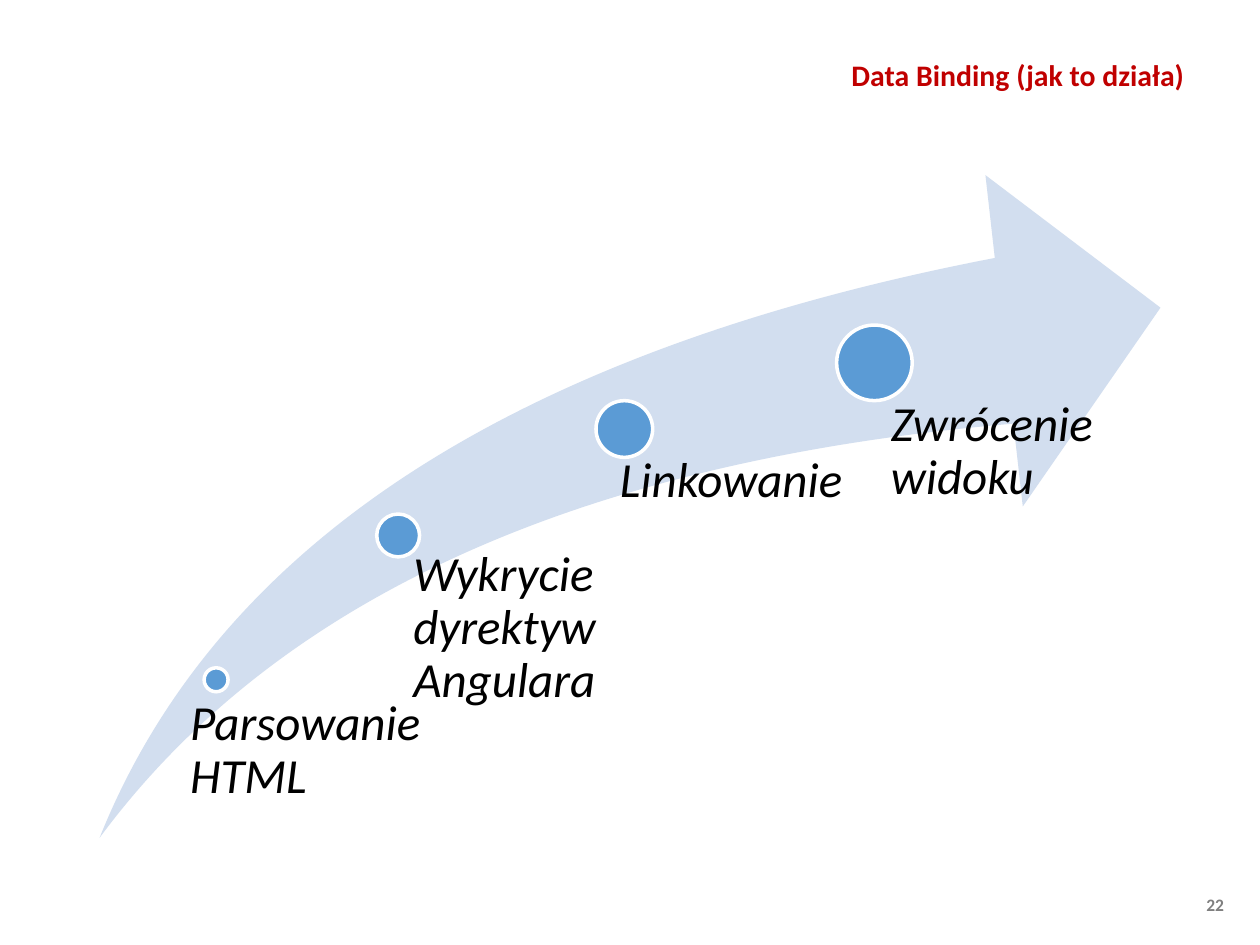
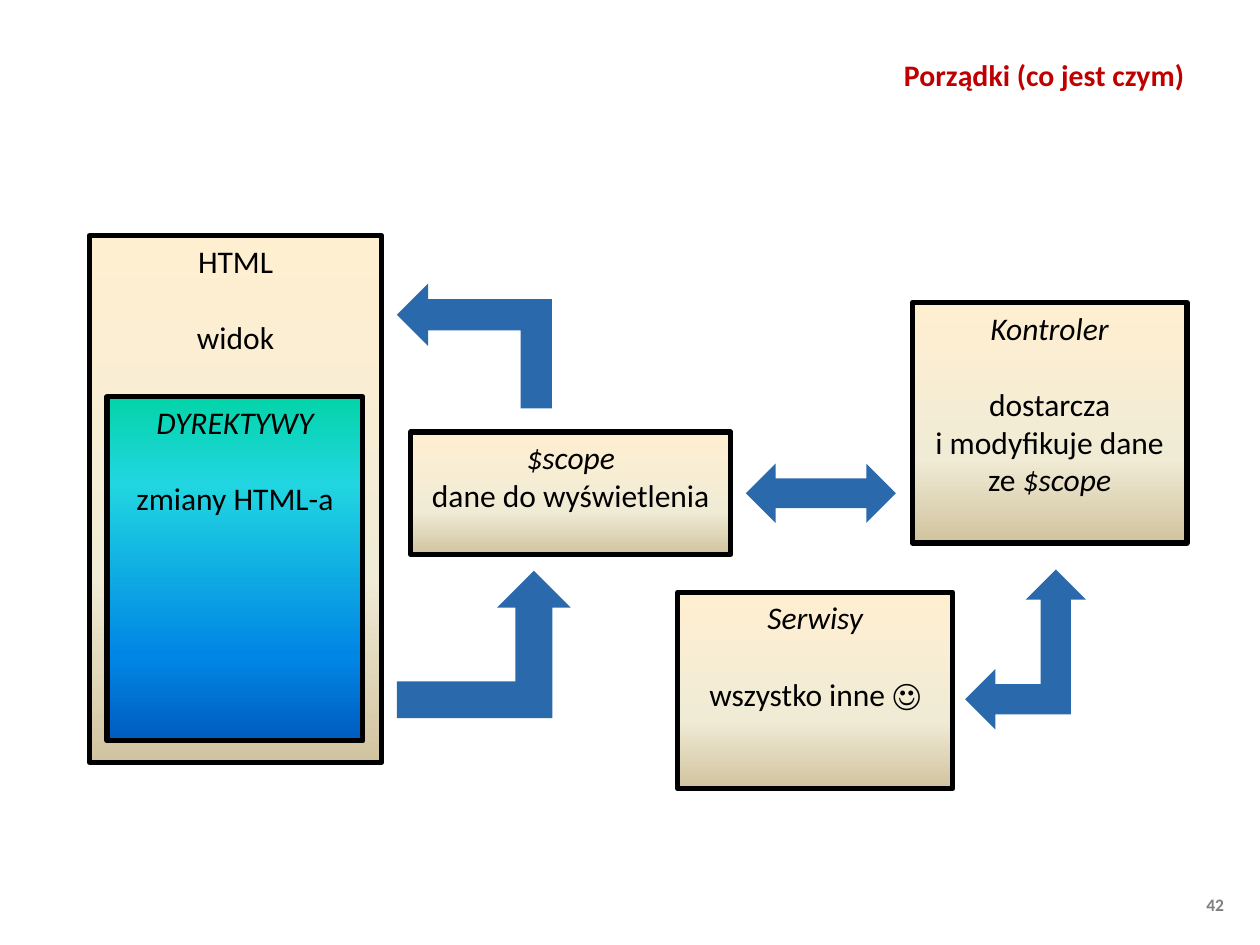
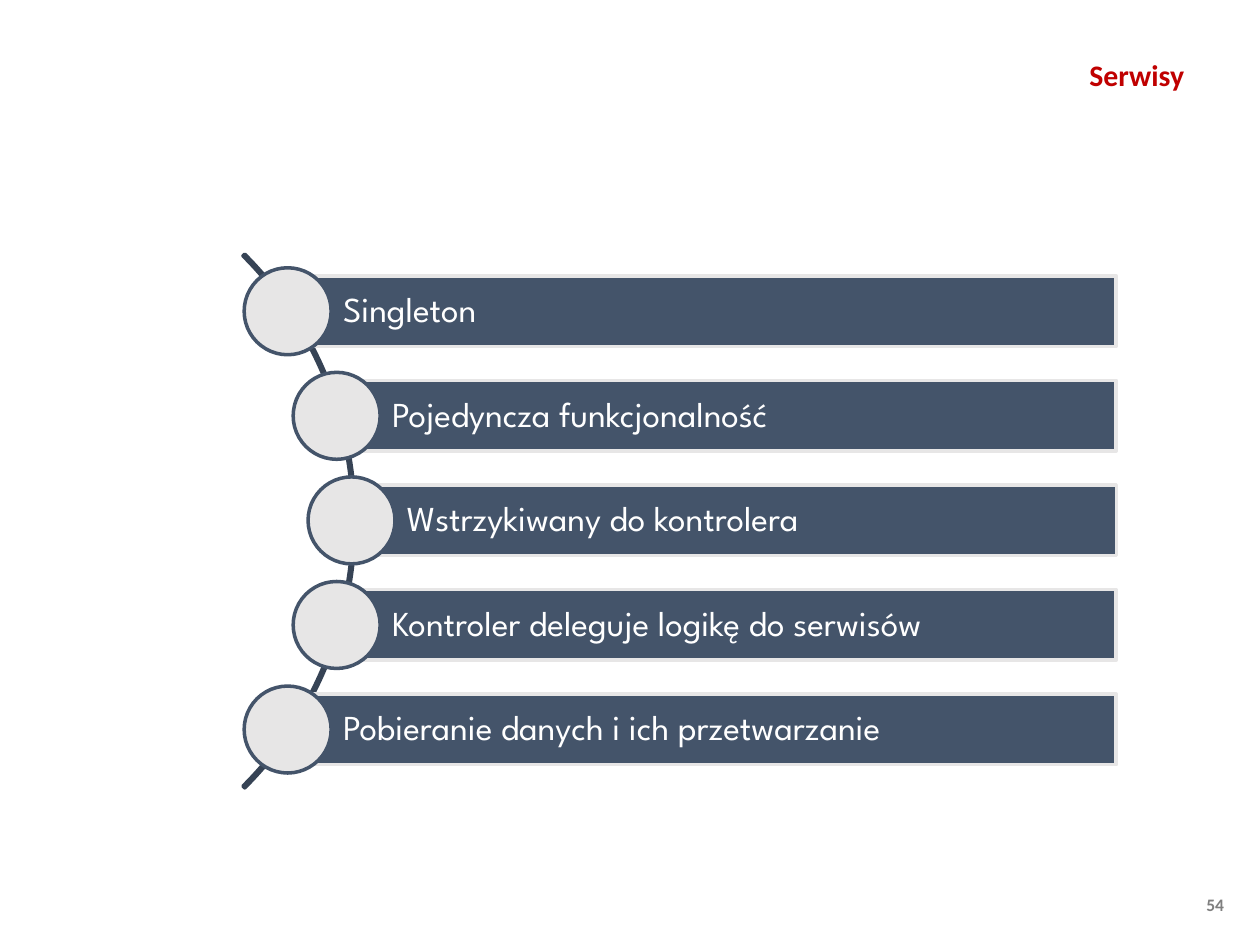
import math
from dataclasses import dataclass
from typing import Optional

import lxml.etree
import pptx
import pptx.dml.color
import pptx.enum.shapes
import pptx.enum.text
import pptx.oxml.ns
import pptx.presentation
import pptx.shapes.autoshape
import pptx.slide
import pptx.text.text
import pptx.util

Inches = pptx.util.Inches
Pt = pptx.util.Pt
RGBColor = pptx.dml.color.RGBColor
ShapeKind = pptx.enum.shapes.MSO_SHAPE
Align = pptx.enum.text.PP_ALIGN
Anchor = pptx.enum.text.MSO_ANCHOR

# Shared colours and fonts
BLACK = RGBColor(0x00, 0x00, 0x00)
WHITE = RGBColor(0xFF, 0xFF, 0xFF)
TITLE_RED = RGBColor(0xC0, 0x00, 0x00)
NUMBER_GREY = RGBColor(0x7F, 0x7F, 0x7F)
SWOOSH_BLUE = RGBColor(0xD2, 0xDE, 0xEF)
DOT_BLUE = RGBColor(0x5B, 0x9B, 0xD5)
ARROW_BLUE = RGBColor(0x2B, 0x69, 0xAD)
BAR_SLATE = RGBColor(0x44, 0x54, 0x6A)
ARC_SLATE = RGBColor(0x36, 0x43, 0x55)
PALE_GREY = RGBColor(0xE7, 0xE6, 0xE6)
BODY_FONT = "Calibri"
BAR_FONT = "League Spartan"

# Gradient stops: percentage and colour
Gradient = tuple[tuple[int, RGBColor], ...]
SAND: Gradient = (
    (0, RGBColor(0xFF, 0xEF, 0xD1)),
    (65, RGBColor(0xF0, 0xEB, 0xD5)),
    (100, RGBColor(0xD1, 0xC3, 0x9F)),
)
OCEAN: Gradient = (
    (0, RGBColor(0x03, 0xD4, 0xA8)),
    (25, RGBColor(0x21, 0xD6, 0xE0)),
    (75, RGBColor(0x00, 0x87, 0xE6)),
    (100, RGBColor(0x00, 0x5C, 0xBF)),
)


@dataclass(frozen=True)
class Frame:
    left: float
    top: float
    width: float
    height: float

    def lengths(self) -> tuple[int, int, int, int]:
        return (Inches(self.left), Inches(self.top),
                Inches(self.width), Inches(self.height))


@dataclass(frozen=True)
class Step:
    text: str
    dot_left: float
    dot_top: float
    dot_size: float
    label: Frame
    indent: float


@dataclass(frozen=True)
class Span:
    text: str
    italic: bool = False


@dataclass(frozen=True)
class Line:
    spans: tuple[Span, ...]
    gap: bool = False


@dataclass(frozen=True)
class Block:
    frame: Frame
    gradient: Gradient
    lines: tuple[Line, ...]


@dataclass(frozen=True)
class BlockArrow:
    kind: ShapeKind
    frame: Frame
    rotation: int = 0


STEPS = (
    Step("Parsowanie HTML", 1.62, 5.3, 0.19, Frame(1.41, 5.54, 2.31, 1.25), 0.1),
    Step("Wykrycie dyrektyw Angulara", 2.99, 4.08, 0.34, Frame(3.1, 4.36, 2.02, 2.4), 0.18),
    Step("Linkowanie", 4.73, 3.18, 0.45, Frame(4.68, 3.61, 2.35, 3.25), 0.24),
    Step("Zwrócenie widoku", 6.64, 2.58, 0.6, Frame(6.75, 3.17, 2.29, 2.91), 0.32),
)

BLOCKS = (
    Block(Frame(0.71, 1.87, 2.32, 4.18), SAND,
          (Line((Span("HTML"),)), Line((Span("widok"),), gap=True))),
    Block(Frame(0.85, 3.15, 2.03, 2.73), OCEAN,
          (Line((Span("DYREKTYWY", True),)), Line((Span("zmiany HTML-a"),), gap=True))),
    Block(Frame(3.26, 3.43, 2.54, 0.97), SAND,
          (Line((Span("$scope", True),)), Line((Span("dane do wyświetlenia"),)))),
    Block(Frame(7.24, 2.4, 2.18, 1.91), SAND,
          (Line((Span("Kontroler", True),)), Line((Span("dostarcza"),), gap=True),
           Line((Span("i modyfikuje dane ze "), Span("$scope", True))))),
    Block(Frame(5.38, 4.7, 2.18, 1.56), SAND,
          (Line((Span("Serwisy", True),)), Line((Span("wszystko inne ☺"),), gap=True))),
)

BLOCK_ARROWS = (
    BlockArrow(ShapeKind.BENT_UP_ARROW, Frame(3.27, 2.13, 0.99, 1.23), 270),
    BlockArrow(ShapeKind.BENT_UP_ARROW, Frame(3.15, 4.53, 1.38, 1.17)),
    BlockArrow(ShapeKind.LEFT_RIGHT_ARROW, Frame(5.92, 3.68, 1.19, 0.47)),
    BlockArrow(ShapeKind.LEFT_UP_ARROW, Frame(7.66, 4.52, 0.96, 1.27)),
)

SERVICE_TRAITS = (
    "Singleton",
    "Pojedyncza funkcjonalność",
    "Wstrzykiwany do kontrolera",
    "Kontroler deleguje logikę do serwisów",
    "Pobieranie danych i ich przetwarzanie",
)


# Shared drawing functions
def format_font(font: pptx.text.text.Font, size: float, color: RGBColor,
                name: str = BODY_FONT, bold: bool = False, italic: bool = False) -> None:
    font.size = Pt(size)
    font.name = name
    font.bold = bold
    font.italic = italic
    font.color.rgb = color


def set_margins(text_frame: pptx.text.text.TextFrame, left: float, top: float,
                right: float, bottom: float) -> None:
    text_frame.margin_left = Inches(left)
    text_frame.margin_top = Inches(top)
    text_frame.margin_right = Inches(right)
    text_frame.margin_bottom = Inches(bottom)


def add_shape(page: pptx.slide.Slide, kind: ShapeKind, frame: Frame,
              fill: Optional[RGBColor] = None, line: Optional[RGBColor] = None,
              line_width: float = 2) -> pptx.shapes.autoshape.Shape:
    shape = page.shapes.add_shape(kind, *frame.lengths())
    shape.shadow.inherit = False
    if fill is None:
        shape.fill.background()
    else:
        shape.fill.solid()
        shape.fill.fore_color.rgb = fill
    if line is None:
        shape.line.fill.background()
    else:
        shape.line.color.rgb = line
        shape.line.width = Pt(line_width)
    return shape


def fill_gradient(shape: pptx.shapes.autoshape.Shape, gradient: Gradient) -> None:
    """Fill from top to bottom with any number of stops."""
    qn = pptx.oxml.ns.qn
    shape.fill.gradient()
    shape.fill.gradient_angle = 270
    stops = shape.element.spPr.find(qn("a:gradFill")).find(qn("a:gsLst"))
    for stop in list(stops):
        stops.remove(stop)
    for percent, color in gradient:
        stop = lxml.etree.SubElement(stops, qn("a:gs"), pos=str(percent * 1000))
        lxml.etree.SubElement(stop, qn("a:srgbClr"), val=str(color))


def add_page(deck: pptx.presentation.Presentation, title: str, number: int) -> pptx.slide.Slide:
    page = deck.slides.add_slide(deck.slide_layouts[5])

    # Title
    box = page.shapes.title
    box.left, box.top, box.width, box.height = Frame(2.39, 0.21, 7.11, 0.76).lengths()
    box.text_frame.text = title
    box.text_frame.auto_size = pptx.enum.text.MSO_AUTO_SIZE.NONE
    box.text_frame.vertical_anchor = Anchor.MIDDLE
    para = box.text_frame.paragraphs[0]
    para.alignment = Align.RIGHT
    format_font(para.runs[0].font, 17, TITLE_RED, bold=True)

    # Page number
    box = page.shapes.add_textbox(*Frame(9.34, 7.05, 0.66, 0.27).lengths())
    box.text_frame.word_wrap = True
    set_margins(box.text_frame, 0.1, 0.05, 0.15, 0.05)
    box.text_frame.text = str(number)
    para = box.text_frame.paragraphs[0]
    para.alignment = Align.CENTER
    format_font(para.runs[0].font, 10, NUMBER_GREY, bold=True)
    return page


# Data binding: steps along a rising arrow
def add_step(page: pptx.slide.Slide, step: Step) -> None:
    dot = Frame(step.dot_left, step.dot_top, step.dot_size, step.dot_size)
    add_shape(page, ShapeKind.OVAL, dot, DOT_BLUE, WHITE)
    label = page.shapes.add_textbox(*step.label.lengths())
    label.text_frame.word_wrap = True
    set_margins(label.text_frame, step.indent, 0, 0, 0)
    label.text_frame.text = step.text
    para = label.text_frame.paragraphs[0]
    para.line_spacing = 0.9
    format_font(para.runs[0].font, 28, BLACK, italic=True)


def build_binding_page(deck: pptx.presentation.Presentation) -> None:
    page = add_page(deck, "Data Binding (jak to działa)", 22)
    swoosh = add_shape(page, ShapeKind.SWOOSH_ARROW, Frame(0.79, 1.39, 8.42, 5.26), SWOOSH_BLUE)
    swoosh.adjustments[0] = 0.25
    swoosh.adjustments[1] = 0.25
    for step in STEPS:
        add_step(page, step)


# Overview: blocks joined by block arrows
def add_block(page: pptx.slide.Slide, block: Block) -> None:
    shape = add_shape(page, ShapeKind.RECTANGLE, block.frame, line=BLACK, line_width=3)
    fill_gradient(shape, block.gradient)
    text_frame = shape.text_frame
    text_frame.word_wrap = True
    text_frame.vertical_anchor = Anchor.TOP
    for index, line in enumerate(block.lines):
        para = text_frame.add_paragraph() if index else text_frame.paragraphs[0]
        para.alignment = Align.CENTER
        if line.gap:
            para.space_before = Pt(22)
        for span in line.spans:
            run = para.add_run()
            run.text = span.text
            format_font(run.font, 18, BLACK, italic=span.italic)


def build_overview_page(deck: pptx.presentation.Presentation) -> None:
    page = add_page(deck, "Porządki (co jest czym)", 42)
    for block in BLOCKS:
        add_block(page, block)
    for arrow in BLOCK_ARROWS:
        shape = add_shape(page, arrow.kind, arrow.frame, ARROW_BLUE)
        shape.rotation = arrow.rotation


# Services: bars whose dots sit on an arc
def build_services_page(deck: pptx.presentation.Presentation) -> None:
    page = add_page(deck, "Serwisy", 54)
    arc_size, arc_thickness = 5.99, 0.02
    center_x, center_y, radius = -0.18, 4.13, 2.97
    pitch, bar_right, bar_height, dot_size = 0.83, 8.86, 0.56, 0.69

    arc_frame = Frame(-3.17, 1.14, arc_size, arc_size)
    arc = add_shape(page, ShapeKind.BLOCK_ARC, arc_frame, line=ARC_SLATE)
    for index, value in enumerate((189, 27, arc_thickness / arc_size)):
        arc.adjustments[index] = value

    for index, trait in enumerate(SERVICE_TRAITS):
        offset = (index - (len(SERVICE_TRAITS) - 1) / 2) * pitch
        dot_x = center_x + math.sqrt(radius ** 2 - offset ** 2)
        dot_y = center_y + offset
        bar_frame = Frame(dot_x, dot_y - bar_height / 2, bar_right - dot_x, bar_height)
        bar = add_shape(page, ShapeKind.RECTANGLE, bar_frame, BAR_SLATE, PALE_GREY)
        bar.text_frame.word_wrap = True
        bar.text_frame.vertical_anchor = Anchor.MIDDLE
        set_margins(bar.text_frame, 0.44, 0.06, 0.06, 0.06)
        bar.text_frame.text = trait
        para = bar.text_frame.paragraphs[0]
        para.alignment = Align.LEFT
        para.line_spacing = 0.9
        format_font(para.runs[0].font, 20, WHITE, name=BAR_FONT)

        dot_frame = Frame(dot_x - dot_size / 2, dot_y - dot_size / 2, dot_size, dot_size)
        add_shape(page, ShapeKind.OVAL, dot_frame, PALE_GREY, BAR_SLATE)


def main() -> None:
    deck = pptx.Presentation()
    deck.slide_width = Inches(10)
    deck.slide_height = Inches(7.5)
    build_binding_page(deck)
    build_overview_page(deck)
    build_services_page(deck)
    deck.save("out.pptx")


if __name__ == "__main__":
    main()
